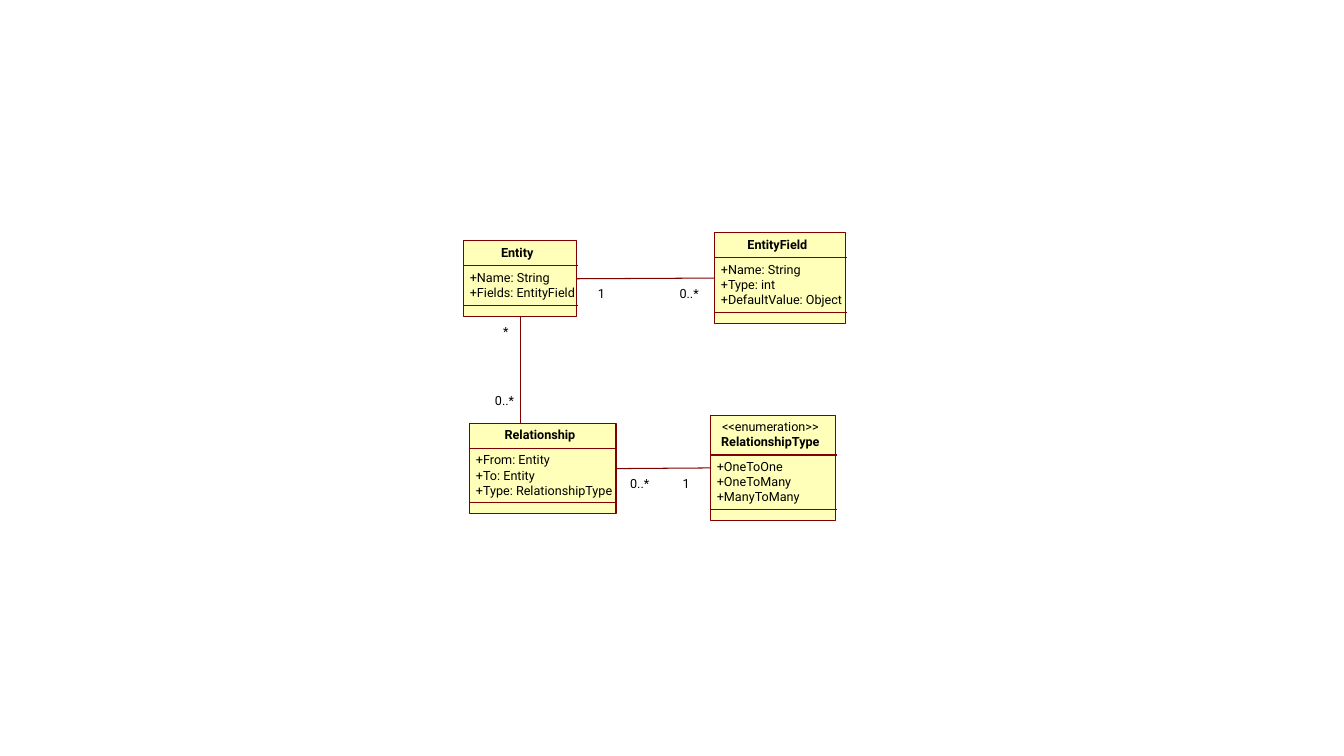
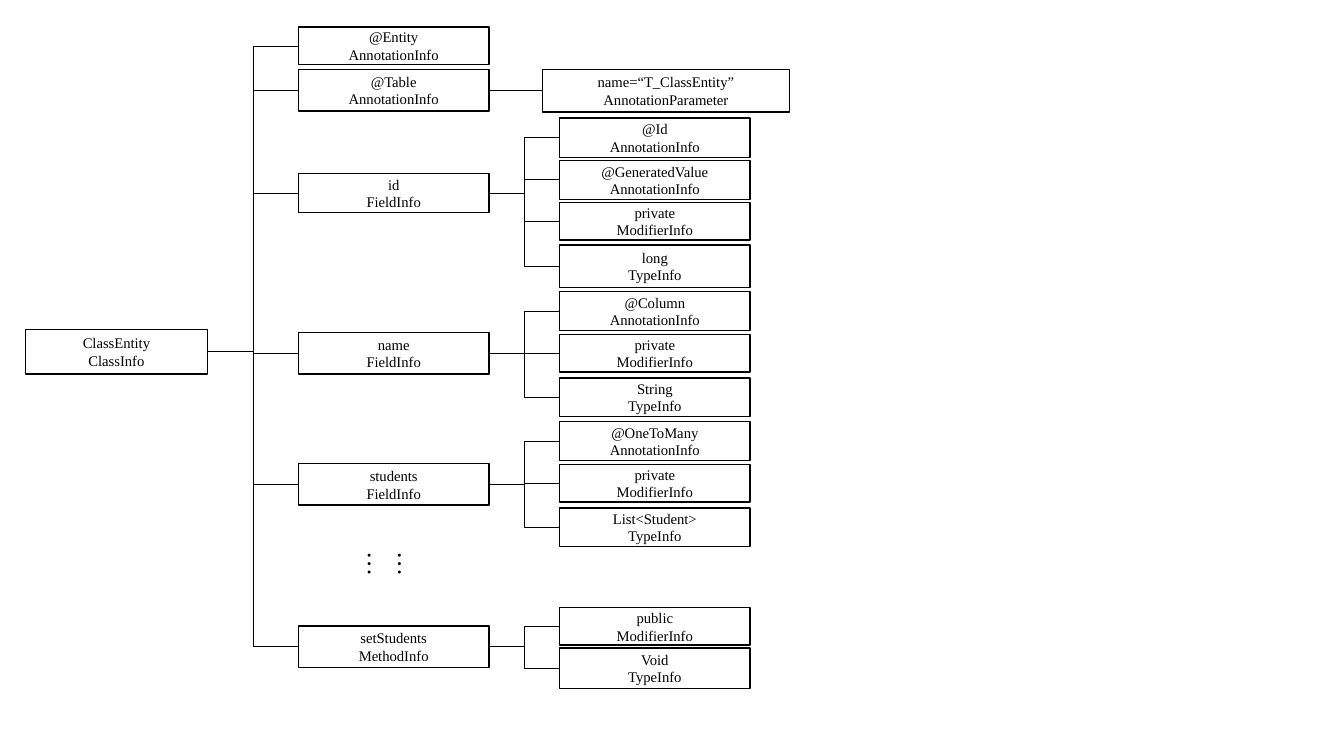
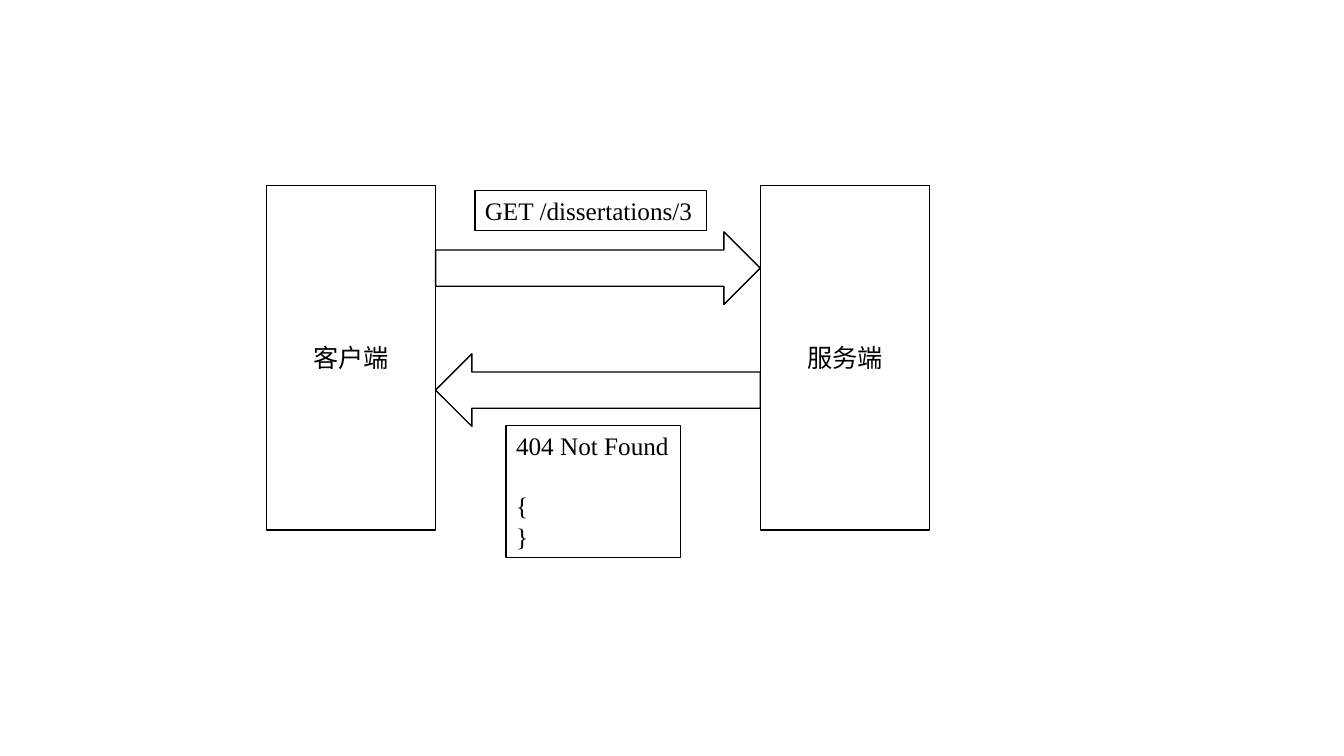
"""Build three diagrams: a class model, a metadata tree and a request exchange."""
from lxml.etree import SubElement
from pptx import Presentation
from pptx.dml.color import RGBColor
from pptx.enum.shapes import MSO_CONNECTOR as LINK, MSO_SHAPE as SHAPE
from pptx.enum.text import MSO_ANCHOR as ANCHOR, PP_ALIGN as ALIGN
from pptx.oxml.ns import qn
from pptx.util import Inches, Pt

COLORS = {"ink": "000000", "paper": "FFFFFF", "class": "FFFFB9", "maroon": "800000"}
SERIF = "Times New Roman"
TOP, LEFT, BOTTOM, RIGHT = range(4)


def write(slide, text, box, geometry=None, fill="paper", line="ink", weight=1,
          font=SERIF, size=18, bold=False, align=ALIGN.LEFT, anchor=ANCHOR.TOP,
          inset=None, wrap=True):
    """Add a shape, or a text box when no geometry is given, with formatted lines."""
    place = [Inches(length) for length in box]
    if geometry is None:
        holder = slide.shapes.add_textbox(*place)
    else:
        holder = slide.shapes.add_shape(geometry, *place)
        holder.shadow.inherit = False
        holder.fill.solid()
        holder.fill.fore_color.rgb = RGBColor.from_string(COLORS[fill])
        holder.line.color.rgb = RGBColor.from_string(COLORS[line])
        holder.line.width = Pt(weight)
    frame = holder.text_frame
    frame.word_wrap = wrap
    frame.vertical_anchor = anchor
    if inset is not None:
        frame.margin_left = frame.margin_right = Inches(inset)
        frame.margin_top = frame.margin_bottom = Inches(inset)
    if text:
        for number, words in enumerate(text.split("\n")):
            paragraph = frame.add_paragraph() if number else frame.paragraphs[0]
            paragraph.alignment = align
            run = paragraph.add_run()
            run.text = words
            run.font.name, run.font.size, run.font.bold = font, Pt(size), bold
            run.font.color.rgb = RGBColor.from_string(COLORS["ink"])
    return holder


def link(slide, start, end, kind=LINK.STRAIGHT, color="ink", weight=0.5,
         source=None, target=None):
    """Add a connector; source and target are optional (shape, side) joints."""
    line = slide.shapes.add_connector(kind, *[Inches(value) for value in (*start, *end)])
    line.line.color.rgb = RGBColor.from_string(COLORS[color])
    line.line.width = Pt(weight)
    SubElement(line._element.spPr, qn("a:effectLst"))
    if source:
        line.begin_connect(*source)
    if target:
        line.end_connect(*target)


deck = Presentation()
deck.slide_width, deck.slide_height = Inches(13.33), Inches(7.5)
model, tree, exchange = [deck.slides.add_slide(deck.slide_layouts[6]) for _ in range(3)]

label = dict(font="Roboto", size=9, inset=0)
maroon = dict(color="maroon", weight=0.75)
PITCH = 0.147
classes = [
    ("Entity", "", 4.6, 2.39, 1.12, ["+Name: String", "+Fields: EntityField"]),
    ("EntityField", "", 7.09, 2.31, 1.3,
     ["+Name: String", "+Type: int", "+DefaultValue: Object"]),
    ("Relationship", "", 4.66, 4.2, 1.45,
     ["+From: Entity", "+To: Entity", "+Type: RelationshipType"]),
    ("RelationshipType", "<<enumeration>>", 7.05, 4.12, 1.24,
     ["+OneToOne", "+OneToMany", "+ManyToMany"]),
]
boxes = {}
for name, stereotype, left, top, width, fields in classes:
    name_top = top + 0.04 + (PITCH if stereotype else 0)
    fields_rule = name_top + PITCH + 0.06
    methods_rule = fields_rule + 0.1 + PITCH * len(fields)
    boxes[name] = write(model, "", (left, top, width, methods_rule + 0.11 - top),
                        SHAPE.RECTANGLE, fill="class", line="maroon", weight=0.75)
    if stereotype:
        write(model, stereotype, (left, top + 0.04, width - 0.06, 0.17),
              align=ALIGN.CENTER, **label)
    write(model, name, (left, name_top, width - 0.06, 0.17),
          bold=True, align=ALIGN.CENTER, **label)
    write(model, "\n".join(fields),
          (left + 0.06, fields_rule + 0.04, width, PITCH * len(fields)), **label)
    for rule in (fields_rule, methods_rule):
        link(model, (left, rule), (left + width + 0.01, rule), **maroon)

link(model, (5.72, 2.77), (7.09, 2.77), source=(boxes["Entity"], RIGHT),
     target=(boxes["EntityField"], LEFT), **maroon)
link(model, (6.11, 4.65), (7.05, 4.65), source=(boxes["Relationship"], RIGHT),
     target=(boxes["RelationshipType"], LEFT), **maroon)
link(model, (5.16, 3.14), (5.16, 4.2), source=(boxes["Entity"], BOTTOM), **maroon)
for count, left, top in [("1", 5.93, 2.84), ("0..*", 6.74, 2.84), ("*", 4.99, 3.21),
                         ("0..*", 4.91, 3.9), ("0..*", 6.25, 4.72), ("1", 6.77, 4.72)]:
    write(model, count, (left, top, 0.27, 0.17), **label)

node = dict(geometry=SHAPE.RECTANGLE, size=10.5, align=ALIGN.CENTER, anchor=ANCHOR.MIDDLE)
members = [
    ("@Entity\nAnnotationInfo", 0.27, 0.37, []),
    ("@Table\nAnnotationInfo", 0.69, 0.41,
     [("name=“T_ClassEntity”\nAnnotationParameter", 0.69, 0.42)]),
    ("id\nFieldInfo", 1.72, 0.39,
     [("@Id\nAnnotationInfo", 1.17, 0.39), ("@GeneratedValue\nAnnotationInfo", 1.59, 0.39),
      ("private\nModifierInfo", 2.01, 0.37), ("long\nTypeInfo", 2.43, 0.42)]),
    ("name\nFieldInfo", 3.3, 0.41,
     [("@Column\nAnnotationInfo", 2.89, 0.39), ("private\nModifierInfo", 3.32, 0.37),
      ("String\nTypeInfo", 3.75, 0.38)]),
    ("students\nFieldInfo", 4.6, 0.41,
     [("@OneToMany\nAnnotationInfo", 4.18, 0.39), ("private\nModifierInfo", 4.61, 0.37),
      ("List<Student>\nTypeInfo", 5.04, 0.38)]),
    ("setStudents\nMethodInfo", 6.21, 0.41,
     [("public\nModifierInfo", 6.03, 0.37), ("Void\nTypeInfo", 6.43, 0.4)]),
]
root = write(tree, "ClassEntity\nClassInfo", (0.25, 3.27, 1.81, 0.44), **node)
for text, top, height, details in members:
    member = write(tree, text, (2.96, top, 1.89, height), **node)
    middle = top + height / 2
    link(tree, (2.06, 3.49), (2.96, middle), LINK.ELBOW,
         source=(root, RIGHT), target=(member, LEFT))
    for detail_text, detail_top, detail_height in details:
        left, width = (5.38, 2.45) if "Parameter" in detail_text else (5.55, 1.89)
        detail = write(tree, detail_text, (left, detail_top, width, detail_height), **node)
        link(tree, (4.85, middle), (left, detail_top + detail_height / 2), LINK.ELBOW,
             source=(member, RIGHT), target=(detail, LEFT))
more = write(tree, "… …", (3.75, 5.37, 0.5, 0.73))
more.text_frame._txBody.bodyPr.set("vert", "eaVert")

for party, left in [("客户端", 2.64), ("服务端", 7.54)]:
    write(exchange, party, (left, 1.84, 1.68, 3.42), SHAPE.RECTANGLE,
          font="Calibri", align=ALIGN.CENTER, anchor=ANCHOR.MIDDLE)
for top, angle in [(2.3, 0), (3.51, 180)]:
    arrow = write(exchange, "", (4.32, top, 3.22, 0.72), SHAPE.RIGHT_ARROW)
    arrow.rotation = angle
write(exchange, "GET /dissertations/3", (4.71, 1.89, 2.3, 0.4), SHAPE.RECTANGLE, wrap=False)
response = write(exchange, "404 Not Found\n{\n}", (5.02, 4.22, 1.73, 1.31),
                 SHAPE.RECTANGLE, wrap=False)
response.text_frame.paragraphs[1].space_before = Pt(21.5)

deck.save("out.pptx")
